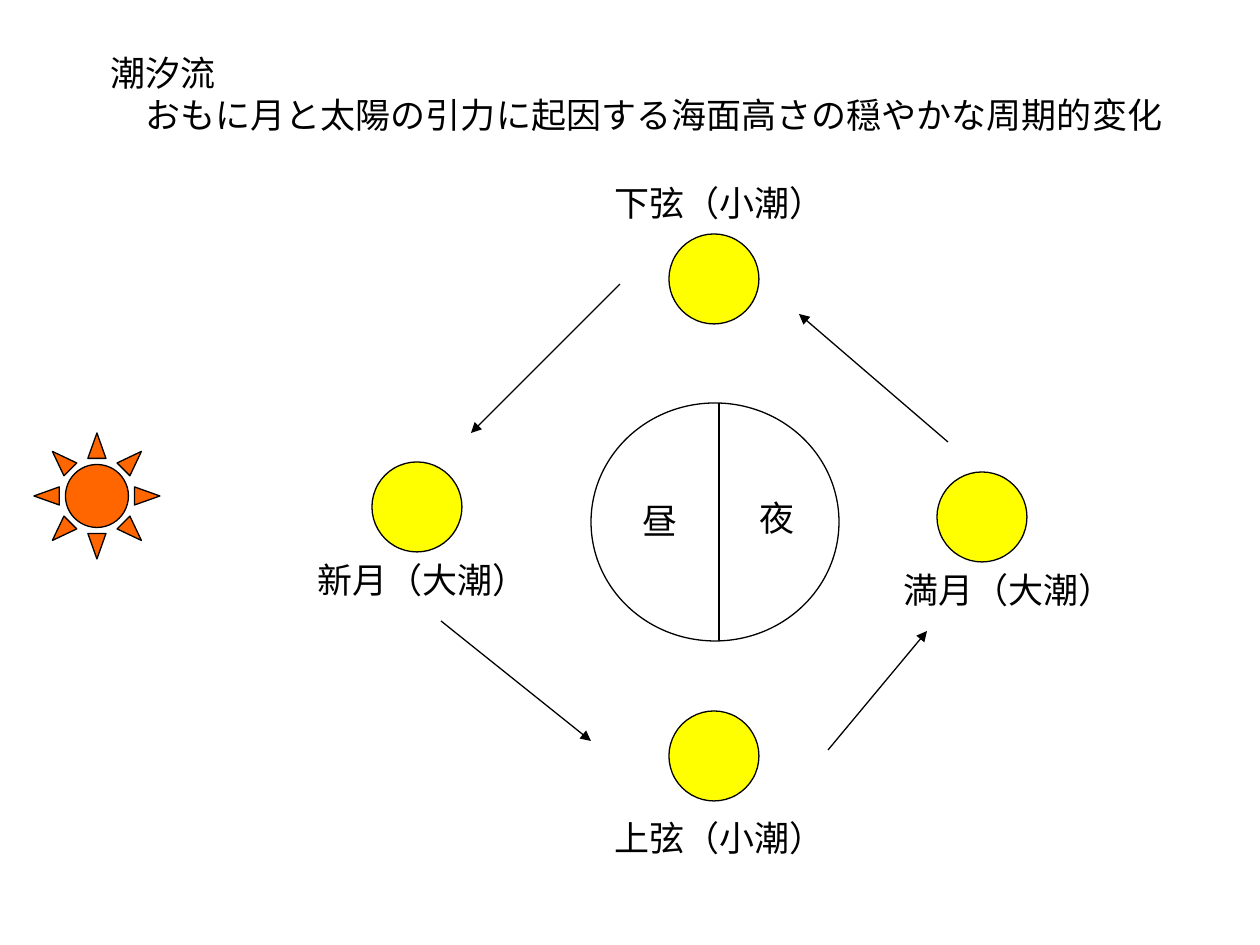
import pptx
import pptx.util
from lxml import etree
from pptx.dml.color import RGBColor
from pptx.enum.shapes import MSO_CONNECTOR, MSO_SHAPE
from pptx.enum.text import MSO_ANCHOR, MSO_AUTO_SIZE, PP_ALIGN
from pptx.oxml.ns import qn

PX = 914400 / 126
THEME = {
    "ink": RGBColor(0, 0, 0),
    "moon": RGBColor(0xFF, 0xFF, 0),
    "sun": RGBColor(0xFF, 0x66, 0),
    "font": "Arial",
    "size": pptx.util.Pt(20),
    "line": pptx.util.Pt(0.75),
}

# Boxes are left, top, width, height in px.
TITLE = ("潮汐流\n　おもに月と太陽の引力に起因する海面高さの穏やかな周期的変化", (98, 45, 1077, 97))
EARTH = (591, 403, 248, 238)
SUN = (34, 433, 126, 126)
DAY_NIGHT_BORDER = (719, 403, 719, 641)
HALVES = [("夜", 747, 490), ("昼", 630, 493)]
HALF_SIZE = (60, 55)
MOON_SIZE = (90, 90)
PHASE_SIZE = (236, 55)
# Phase name, left and top of its label, left and top of its moon
PHASES = [
    ("新月（大潮）", (305, 552), (372, 462)),
    ("満月（大潮）", (891, 562), (937, 472)),
    ("下弦（小潮）", (602, 175), (669, 234)),
    ("上弦（小潮）", (602, 810), (669, 711)),
]
ORBIT_ARROWS = [
    (441, 621, 591, 741),
    (828, 750, 927, 631),
    (948, 442, 799, 314),
    (620, 284, 471, 433),
]


def px(lengths):
    return [round(length * PX) for length in lengths]


def add_body(slide, kind, box, fill=None):
    """Add an outlined shape; without a fill colour it is see-through."""
    body = slide.shapes.add_shape(kind, *px(box))
    body.shadow.inherit = False
    if fill is None:
        body.fill.background()
    else:
        body.fill.solid()
        body.fill.fore_color.rgb = fill
    body.line.color.rgb = THEME["ink"]
    body.line.width = THEME["line"]
    return body


def add_line(slide, ends, arrow=False):
    line = slide.shapes.add_connector(MSO_CONNECTOR.STRAIGHT, *px(ends))
    line.line.color.rgb = THEME["ink"]
    line.line.width = THEME["line"]
    if arrow:
        etree.SubElement(line.line._get_or_add_ln(), qn("a:tailEnd"), type="triangle")
    etree.SubElement(line._element.spPr, qn("a:effectLst"))


def add_label(slide, text, box):
    frame = slide.shapes.add_textbox(*px(box)).text_frame
    frame.text = text
    frame.word_wrap = False
    frame.auto_size = MSO_AUTO_SIZE.SHAPE_TO_FIT_TEXT
    frame.vertical_anchor = MSO_ANCHOR.TOP
    for paragraph in frame.paragraphs:
        paragraph.alignment = PP_ALIGN.LEFT
        for run in paragraph.runs:
            run.font.name = THEME["font"]
            run.font.size = THEME["size"]
            run.font.color.rgb = THEME["ink"]


def main():
    deck = pptx.Presentation()
    deck.slide_width, deck.slide_height = px((1260, 945))
    slide = deck.slides.add_slide(deck.slide_layouts[6])

    add_label(slide, *TITLE)
    add_body(slide, MSO_SHAPE.OVAL, EARTH)
    add_body(slide, MSO_SHAPE.SUN, SUN, THEME["sun"]).adjustments[0] = 0.25
    add_line(slide, DAY_NIGHT_BORDER)
    for half, left, top in HALVES:
        add_label(slide, half, (left, top, *HALF_SIZE))
    for phase, label_corner, moon_corner in PHASES:
        add_body(slide, MSO_SHAPE.OVAL, moon_corner + MOON_SIZE, THEME["moon"])
        add_label(slide, phase, label_corner + PHASE_SIZE)
    for ends in ORBIT_ARROWS:
        add_line(slide, ends, arrow=True)

    deck.save("out.pptx")


if __name__ == "__main__":
    main()
